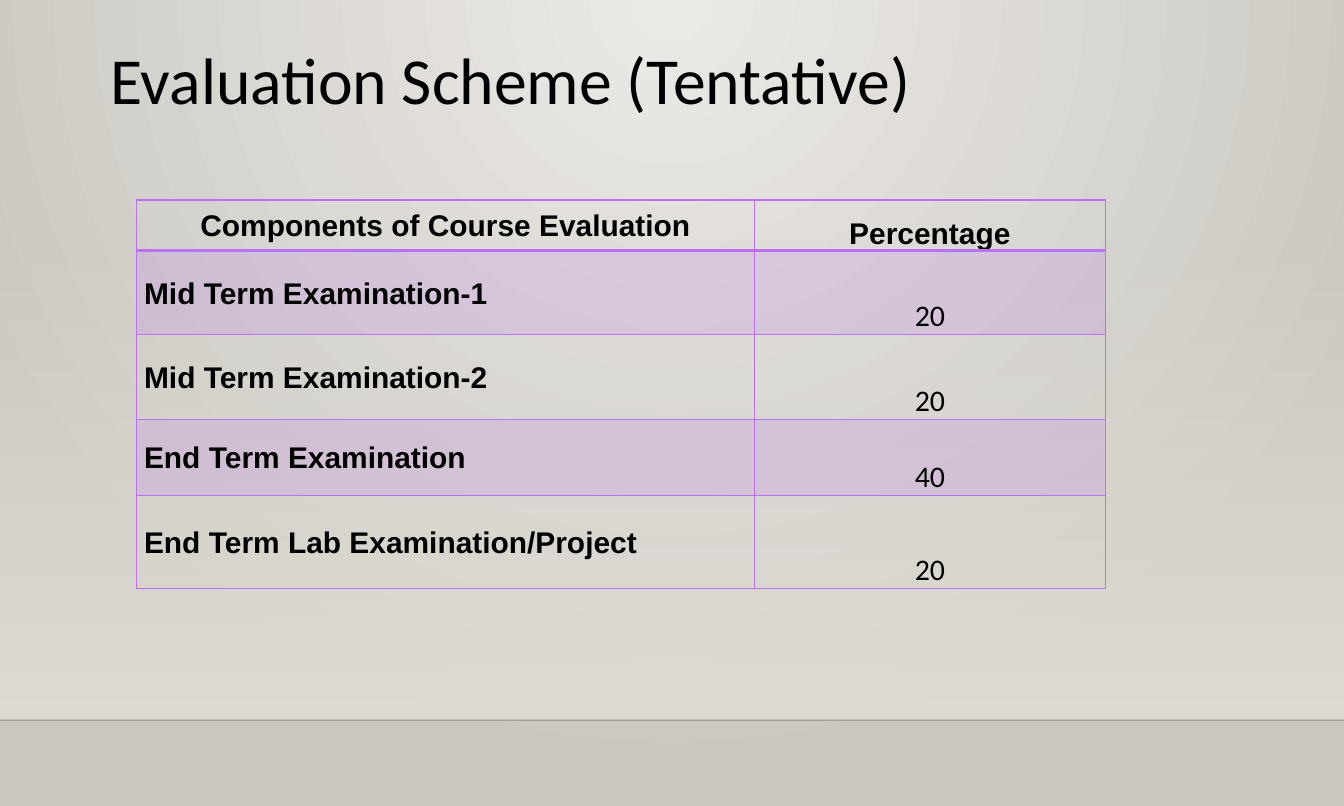
from lxml import etree
from pptx import Presentation
from pptx import util as u
from pptx.dml import color
from pptx.enum import shapes, text
from pptx.oxml import ns

Pt = u.Pt
COLORS = {
    "ink": "000000",
    "glow": "ECEAE7",
    "wall": "CAC7C1",
    "haze": "DFDBD5",
    "edge": "000001",
    "violet": "BC72F0",
}
SLIDE = (900, 540)
HORIZON = 482.4
COMPONENTS = [
    ("Components of Course Evaluation", "Percentage", 33.84),
    ("Mid Term Examination-1", "20", 56.6),
    ("Mid Term Examination-2", "20", 56.6),
    ("End Term Examination", "40", 51.1),
    ("End Term Lab Examination/Project", "20", 62.5),
]
COLUMN_SHARES = (0.638, 0.362)


def rgb(name):
    return color.RGBColor.from_string(COLORS[name])


def add_child(parent, tag, **attributes):
    child = etree.SubElement(parent, ns.qn(tag))
    for key, value in attributes.items():
        child.set(key, str(value))
    return child


def set_alpha(holder, percents):
    swatches = holder.iter(ns.qn("a:srgbClr"))
    for swatch, percent in zip(swatches, percents):
        add_child(swatch, "a:alpha", val=percent * 1000)


def paint_gradient(fill, names):
    fill.gradient()
    for stop, name in zip(fill.gradient_stops, names):
        stop.color.rgb = rgb(name)
    for stop, position in zip(fill.gradient_stops, (0, 1)):
        stop.position = position


def write(frame, wording, size, font, bold=False, align=text.PP_ALIGN.CENTER):
    paragraph = frame.paragraphs[0]
    paragraph.alignment = align
    run = paragraph.add_run()
    run.text = wording
    run.font.size = Pt(size)
    run.font.name = font
    run.font.bold = bold
    run.font.color.rgb = rgb("ink")
    return paragraph


def draw_backdrop(slide, left, top, width, height):
    paint_gradient(slide.background.fill, ("glow", "wall"))
    glow = next(slide.element.iter(ns.qn("a:gradFill")))
    for linear in glow.findall(ns.qn("a:lin")):
        glow.remove(linear)
    circle = add_child(glow, "a:path", path="circle")
    add_child(circle, "a:fillToRect", l=43000, t=0, r=43000, b=100000)

    haze_top = 159.1
    haze = slide.shapes.add_shape(
        shapes.MSO_SHAPE.RECTANGLE, Pt(left), Pt(top + haze_top),
        Pt(width), Pt(height - haze_top))
    haze.shadow.inherit = False
    haze.line.fill.background()
    paint_gradient(haze.fill, ("haze", "haze"))
    haze.fill.gradient_angle = 270
    set_alpha(haze.element.spPr, (0, 100))

    horizon = slide.shapes.add_connector(
        shapes.MSO_CONNECTOR.STRAIGHT, Pt(left), Pt(top + height),
        Pt(left + width), Pt(top + height))
    horizon.line.width = Pt(1)
    horizon.line.color.rgb = rgb("edge")
    set_alpha(horizon.element.spPr, (20,))
    add_child(horizon.element.spPr, "a:effectLst")


def draw_title(slide, left, top, width, height):
    title = slide.shapes.add_textbox(Pt(left), Pt(top), Pt(width), Pt(height))
    frame = title.text_frame
    frame.word_wrap = True
    frame.vertical_anchor = text.MSO_ANCHOR.MIDDLE
    write(frame, "Evaluation Scheme (Tentative)", 44, "Calibri")


def draw_borders(cell, widths):
    properties = cell._tc.get_or_add_tcPr()
    for side, width in widths.items():
        border = add_child(properties, f"a:ln{side}", w=Pt(width))
        ink = add_child(border, "a:solidFill")
        add_child(ink, "a:srgbClr", val=COLORS["violet"])


def style_cell(cell, row, anchor):
    cell.margin_left = cell.margin_right = Pt(5.04)
    cell.margin_top = cell.margin_bottom = 0
    cell.vertical_anchor = anchor
    draw_borders(cell, {"L": 1, "R": 1,
                        "T": 2 if row == 1 else 1,
                        "B": 2 if row == 0 else 1})
    if row % 2:
        cell.fill.solid()
        cell.fill.fore_color.rgb = rgb("violet")
        fill = cell._tc.tcPr.find(ns.qn("a:solidFill"))
        set_alpha(fill, (20,))
    else:
        cell.fill.background()


def draw_scheme(slide, left, top, width):
    height = sum(row_height for _, _, row_height in COMPONENTS)
    scheme = slide.shapes.add_table(
        len(COMPONENTS), len(COLUMN_SHARES),
        Pt(left), Pt(top), Pt(width), Pt(height)).table
    scheme.first_row = scheme.horz_banding = False
    for column, share in zip(scheme.columns, COLUMN_SHARES):
        column.width = Pt(width * share)
    for row, (component, percentage, row_height) in enumerate(COMPONENTS):
        scheme.rows[row].height = Pt(row_height)
        header = row == 0
        center, left_side = text.PP_ALIGN.CENTER, text.PP_ALIGN.LEFT
        entries = (
            (component, True, center if header else left_side,
             text.MSO_ANCHOR.MIDDLE),
            (percentage, header, center, text.MSO_ANCHOR.BOTTOM),
        )
        for column, (wording, bold, align, anchor) in enumerate(entries):
            cell = scheme.cell(row, column)
            style_cell(cell, row, anchor)
            paragraph = write(cell.text_frame, wording, 20,
                              "Arial" if bold else "Calibri", bold, align)
            paragraph.line_spacing = 1.07


def main():
    deck = Presentation()
    deck.slide_width, deck.slide_height = map(Pt, SLIDE)
    slide = deck.slides.add_slide(deck.slide_layouts[6])
    draw_backdrop(slide, 0, 0, SLIDE[0], HORIZON)
    draw_title(slide, 36, 19.44, 612, 65.52)
    draw_scheme(slide, 91.44, 133.92, 648.72)
    deck.save("out.pptx")


if __name__ == "__main__":
    main()
